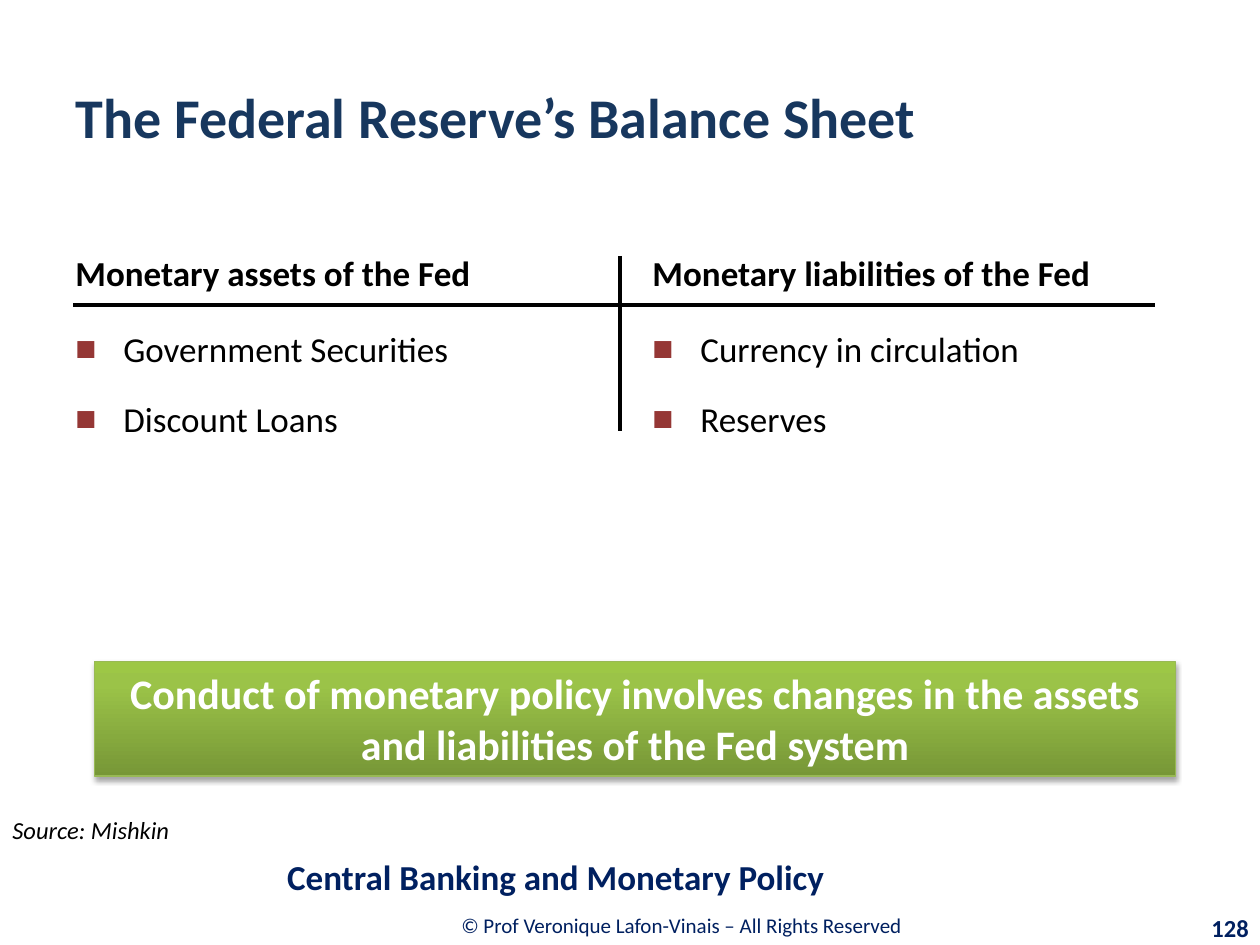
from dataclasses import dataclass

from lxml.etree import SubElement
from pptx import Presentation
from pptx.dml.color import RGBColor
from pptx.enum.shapes import MSO_CONNECTOR as Connector, MSO_SHAPE as Shape
from pptx.enum.text import MSO_ANCHOR as Anchor, PP_ALIGN as Align
from pptx.oxml import parse_xml
from pptx.oxml.ns import nsdecls, qn
from pptx.util import Inches, Pt


@dataclass(frozen=True)
class Theme:
    font: str = "Calibri"
    title: str = "17375E"
    footer: str = "002060"
    ink: str = "000000"
    bullet: str = "953735"
    white: str = "FFFFFF"
    banner_line: str = "98B955"
    banner_stops: tuple = ((0, "779737"), (80, "9BC348"), (100, "9DC746"))
    title_size: int = 32
    banner_size: int = 24
    body_size: int = 20
    note_size: int = 14
    small_size: int = 12


THEME = Theme()


def rgb(value):
    return RGBColor.from_string(value)


def fill_frame(frame, lines, size, color, bold=False, italic=False,
               align=Align.LEFT, anchor=Anchor.TOP):
    frame.word_wrap = True
    frame.vertical_anchor = anchor
    frame.text = "\n".join(lines)
    for paragraph in frame.paragraphs:
        paragraph.alignment = align
        for run in paragraph.runs:
            font = run.font
            font.name, font.size = THEME.font, Pt(size)
            font.bold, font.italic = bold, italic
            font.color.rgb = rgb(color)


def add_text(slide, box, text, size, color, **style):
    label = slide.shapes.add_textbox(*map(Inches, box))
    fill_frame(label.text_frame, [text], size, color, **style)


def add_title(slide, box, text):
    title = slide.shapes.title
    title.left, title.top, title.width, title.height = map(Inches, box)
    fill_frame(title.text_frame, [text], THEME.title_size, THEME.title,
               bold=True, anchor=Anchor.MIDDLE)


def add_bullet(paragraph):
    props = paragraph._p.get_or_add_pPr()
    props.set("marL", str(Inches(0.38)))
    props.set("indent", str(Inches(-0.38)))
    color = SubElement(props, qn("a:buClr"))
    SubElement(color, qn("a:srgbClr"), val=THEME.bullet)
    SubElement(props, qn("a:buFont"), typeface="Arial")
    SubElement(props, qn("a:buChar"), char="■")


def add_account_side(slide, box, heading, items):
    """One side of the T-account: a heading above its bulleted items."""
    left, top, width, height = box
    heading_height = 0.7
    add_text(slide, (left, top, width, heading_height), heading,
             THEME.body_size, THEME.ink, bold=True, anchor=Anchor.BOTTOM)
    entries = slide.shapes.add_textbox(
        Inches(left), Inches(top + heading_height),
        Inches(width), Inches(height - heading_height)).text_frame
    fill_frame(entries, items, THEME.body_size, THEME.ink)
    for index, paragraph in enumerate(entries.paragraphs):
        add_bullet(paragraph)
        paragraph.line_spacing = 1.5
        if index:
            paragraph.space_before = Pt(4)


def add_rule(slide, start, end):
    rule = slide.shapes.add_connector(
        Connector.STRAIGHT, *map(Inches, (*start, *end)))
    rule.line.color.rgb = rgb(THEME.ink)
    rule.line.width = Pt(2)
    SubElement(rule._element.spPr, qn("a:effectLst"))


def add_t_account(slide, box, sides):
    left, top, width, height = box
    column, gap = 4.42, 0.16
    for index, (heading, items) in enumerate(sides):
        side_left = left + index * (column + gap)
        add_account_side(slide, (side_left, top, column, height), heading, items)
    # Vertical and horizontal bars of the T
    add_rule(slide, (left + column, top + 0.35), (left + column, top + 1.74))
    add_rule(slide, (left + 0.08, top + 0.74), (left + width - 0.33, top + 0.74))


def add_banner(slide, box, text):
    banner = slide.shapes.add_shape(Shape.RECTANGLE, *map(Inches, box))
    banner.line.color.rgb = rgb(THEME.banner_line)
    banner.line.width = Pt(0.75)

    # Three-stop gradient, dark at the bottom
    banner.fill.gradient()
    banner.fill.gradient_angle = 90
    props = banner._element.spPr
    stops = props.find(qn("a:gradFill")).find(qn("a:gsLst"))
    stops.clear()
    for position, color in THEME.banner_stops:
        stop = SubElement(stops, qn("a:gs"), pos=str(position * 1000))
        SubElement(stop, qn("a:srgbClr"), val=color)

    # Soft shadow below
    props.append(parse_xml(
        f'<a:effectLst {nsdecls("a")}>'
        f'<a:outerShdw blurRad="{Pt(3.1)}" dist="{Pt(1.8)}" dir="5400000" rotWithShape="0">'
        f'<a:srgbClr val="{THEME.ink}"><a:alpha val="35000"/></a:srgbClr>'
        '</a:outerShdw></a:effectLst>'))
    fill_frame(banner.text_frame, [text], THEME.banner_size, THEME.white,
               bold=True, align=Align.CENTER)


def add_footer(slide, box):
    left, top, width, _ = box
    add_text(slide, (left, top, 2.17, 0.34), "Source: Mishkin",
             THEME.note_size, THEME.ink, italic=True)
    add_text(slide, (left + 2.18, top + 0.3, width - 2.18, 0.47),
             "Central Banking and Monetary Policy", THEME.body_size,
             THEME.footer, bold=True, anchor=Anchor.MIDDLE)
    add_text(slide, (left + 2.17, top + 0.73, 6.48, 0.39),
             "© Prof Veronique Lafon-Vinais – All Rights Reserved",
             THEME.small_size, THEME.footer, align=Align.CENTER,
             anchor=Anchor.MIDDLE)
    add_text(slide, (left + width - 0.99, top + 0.78, 1, 0.32), "128",
             THEME.note_size, THEME.footer, bold=True, align=Align.RIGHT,
             anchor=Anchor.MIDDLE)


def main():
    deck = Presentation()
    deck.slide_width, deck.slide_height = Inches(10), Inches(7.5)
    slide = deck.slides.add_slide(deck.slide_layouts[5])
    add_title(slide, (0.5, 0.3, 9, 1.25), "The Federal Reserve’s Balance Sheet")
    add_t_account(slide, (0.5, 1.68, 9, 5.02), (
        ("Monetary assets of the Fed",
         ("Government Securities", "Discount Loans")),
        ("Monetary liabilities of the Fed",
         ("Currency in circulation", "Reserves")),
    ))
    add_banner(slide, (0.75, 5.25, 8.58, 0.91),
               "Conduct of monetary policy involves changes in the assets "
               "and liabilities of the Fed system")
    add_footer(slide, (0, 6.42, 10, 1.08))
    deck.save("out.pptx")


if __name__ == "__main__":
    main()
